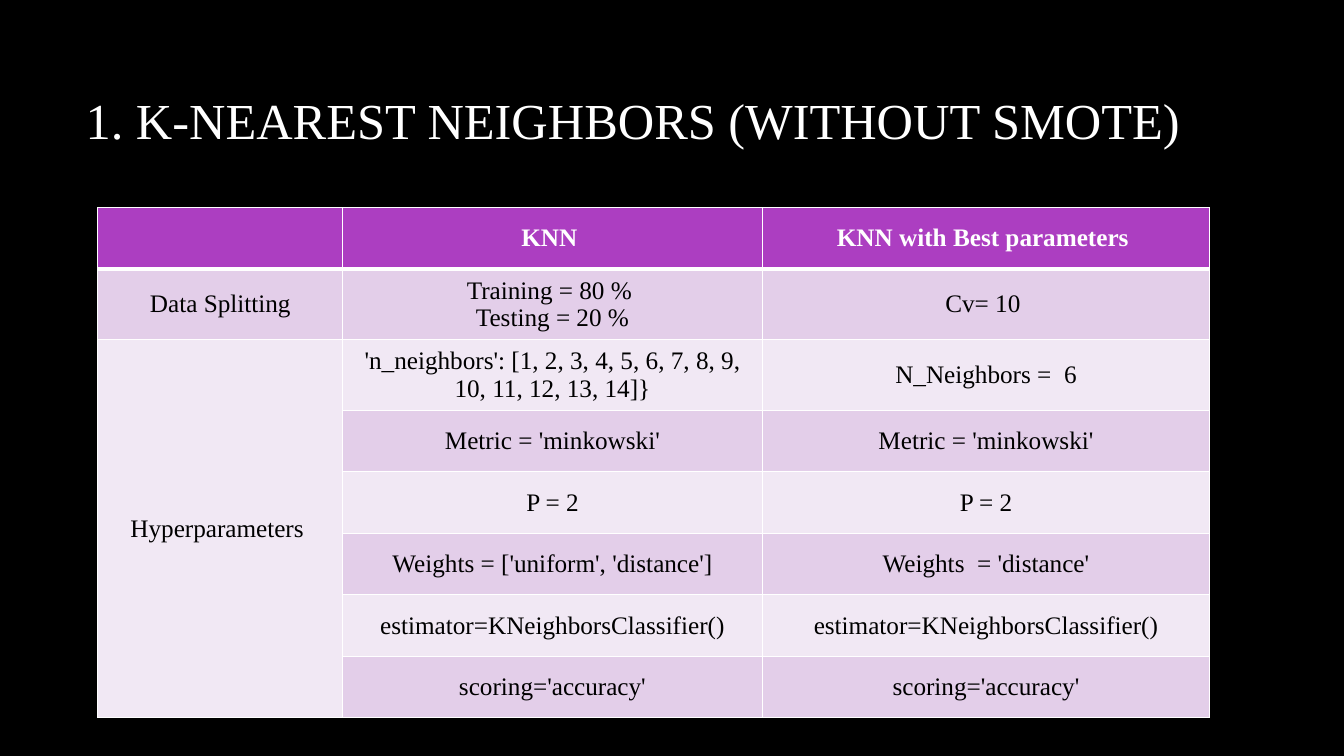
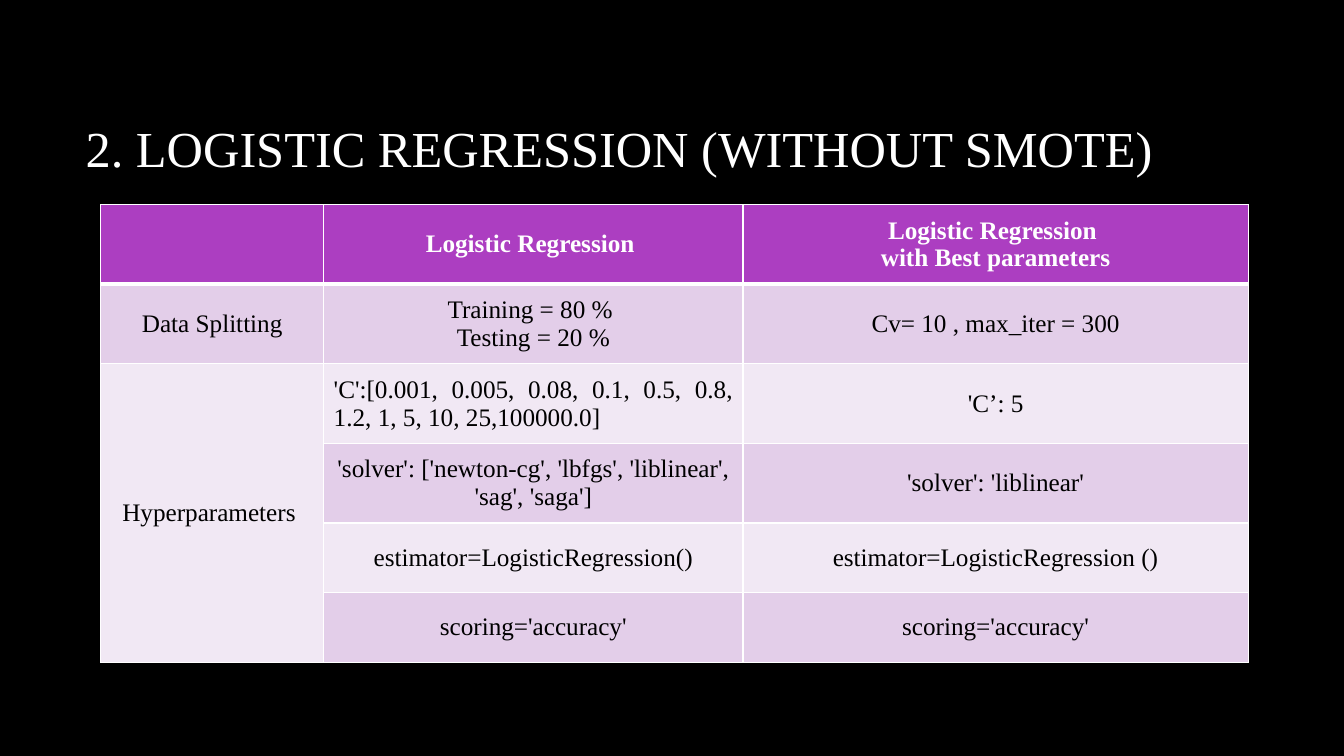
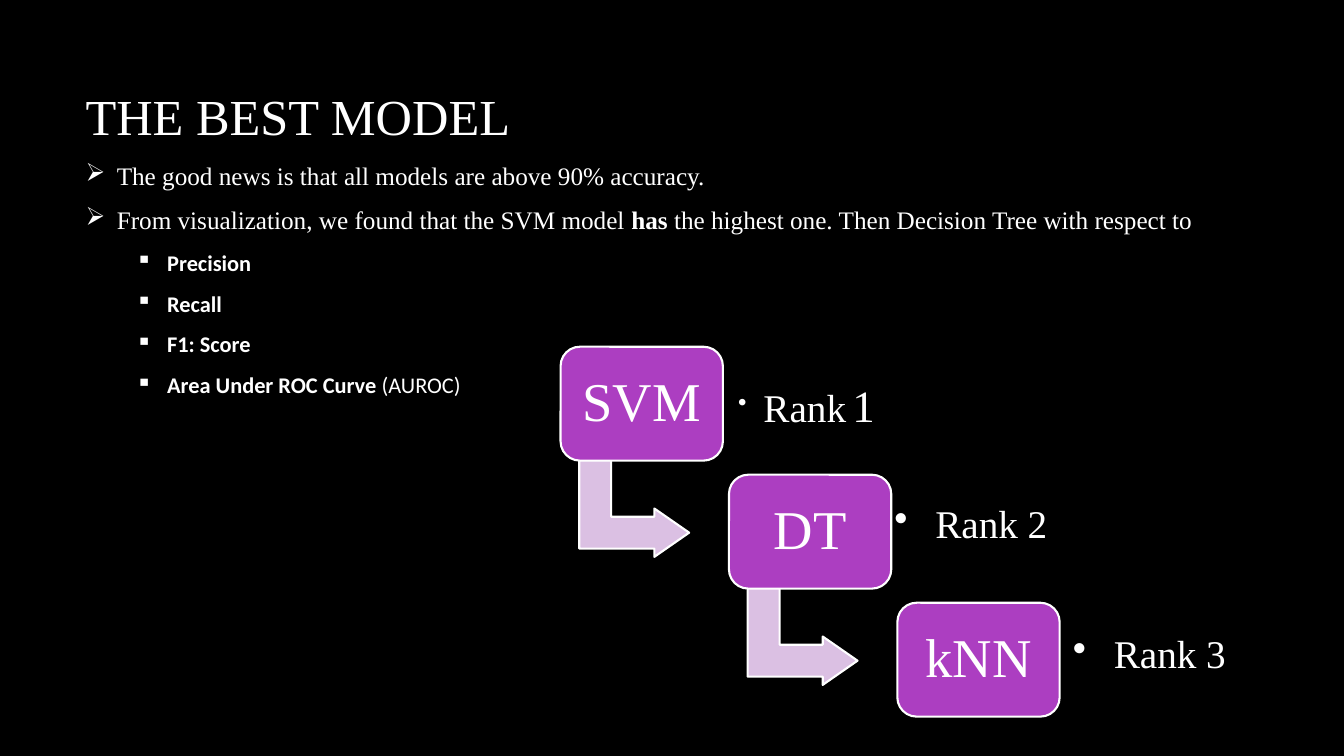
from lxml import etree
from pptx import Presentation
from pptx.dml.color import RGBColor
from pptx.enum.shapes import MSO_SHAPE
from pptx.enum.text import MSO_ANCHOR, PP_ALIGN
from pptx.oxml.ns import qn
from pptx.util import Pt

PX = 9144  # one px is a hundredth of an inch
CENTER, JUSTIFY, LEFT = PP_ALIGN.CENTER, PP_ALIGN.JUSTIFY, PP_ALIGN.LEFT
TOP, MIDDLE = MSO_ANCHOR.TOP, MSO_ANCHOR.MIDDLE
ROUNDED, BENT_ARROW = MSO_SHAPE.ROUNDED_RECTANGLE, MSO_SHAPE.BENT_UP_ARROW

# Shared colours and fonts
BLACK, WHITE = "000000", "FFFFFF"
PURPLE, LILAC = "AC3EC1", "DBC0E3"
ROW_FILLS = ("F1E8F4", "E3CEE9")
SERIF, SANS = "Times New Roman", "Calibri"

# Shared text formats
TITLE = {"size": Pt(36), "name": SERIF}
BODY = {"size": Pt(18), "name": SERIF}
BODY_BOLD = {**BODY, "bold": True}
METRIC = {"size": Pt(16), "name": SANS}
METRIC_BOLD = {**METRIC, "bold": True}
MODEL = {"size": Pt(39), "name": SERIF}
RANK = {"size": Pt(28), "name": SERIF}
RANK_DIGIT = {"size": Pt(32), "name": SERIF}


def px(*lengths):
    return [length * PX for length in lengths]


def rgb(color):
    return RGBColor.from_string(color)


def apply_format(target, values):
    for key, value in values.items():
        setattr(target, key, value)


def add_fill(shape, color):
    shape.fill.solid()
    shape.fill.fore_color.rgb = rgb(color)


def add_runs(paragraph, runs, color=WHITE):
    for text, font_format in runs:
        run = paragraph.add_run()
        run.text = text
        apply_format(run.font, font_format)
        run.font.color.rgb = rgb(color)


def add_bullet(paragraph, char, left, hanging):
    props = paragraph._p.get_or_add_pPr()
    props.set("marL", str(left * PX))
    props.set("indent", str(-hanging * PX))
    bullet_color = etree.SubElement(props, qn("a:buClr"))
    etree.SubElement(bullet_color, qn("a:srgbClr"), val=WHITE)
    etree.SubElement(props, qn("a:buChar"), char=char)


def add_textbox(slide, box, anchor=MIDDLE, **margins):
    frame = slide.shapes.add_textbox(*px(*box)).text_frame
    apply_format(frame, {"word_wrap": True, "vertical_anchor": anchor})
    apply_format(frame, {f"margin_{side}": size * PX for side, size in margins.items()})
    return frame


def add_slide(prs, title, height=159, bottom=5):
    slide = prs.slides.add_slide(prs.slide_layouts[6])
    add_fill(slide.background, BLACK)
    frame = add_textbox(slide, (75, 67, 1108, height), bottom=bottom)
    add_runs(frame.paragraphs[0], [(title, TITLE)])
    return slide


# Tables
def add_borders(cell, **widths):
    props = cell._tc.get_or_add_tcPr()
    for side in "LRTB":
        line = etree.SubElement(props, qn(f"a:ln{side}"), w=str(Pt(widths.get(side, 1))))
        fill = etree.SubElement(line, qn("a:solidFill"))
        etree.SubElement(fill, qn("a:srgbClr"), val=WHITE)


def fill_cell(cell, text, row, align):
    header = row == 0
    add_borders(cell, **({"B": 3} if header else {"T": 3} if row == 1 else {}))
    add_fill(cell, PURPLE if header else ROW_FILLS[row % 2])
    cell.vertical_anchor = MIDDLE
    for index, line in enumerate(text.split("\n") if text else []):
        frame = cell.text_frame
        paragraph = frame.add_paragraph() if index else frame.paragraphs[0]
        paragraph.alignment = align
        add_runs(paragraph, [(line, {**BODY, "bold": header})],
                 WHITE if header else BLACK)


def add_parameter_table(slide, origin, widths, heights, rows, justified=()):
    """The row label of the third row spans all rows below it."""
    box = (*origin, sum(widths), sum(heights))
    table = slide.shapes.add_table(len(rows), len(widths), *px(*box)).table
    for column, width in zip(table.columns, px(*widths)):
        column.width = width
    for table_row, height in zip(table.rows, px(*heights)):
        table_row.height = height
    for r, row in enumerate(rows):
        for c, text in enumerate(row):
            fill_cell(table.cell(r, c), text, r,
                      JUSTIFY if (r, c) in justified else CENTER)
    table.cell(2, 0).merge(table.cell(len(rows) - 1, 0))


# Ranking
def add_outlined(slide, kind, box, fill, adjustments):
    shape = slide.shapes.add_shape(kind, *px(*box))
    shape.shadow.inherit = False
    add_fill(shape, fill)
    shape.line.color.rgb = rgb(WHITE)
    shape.line.width = Pt(1.5)
    for index, value in enumerate(adjustments):
        shape.adjustments[index] = value
    return shape


def add_model(slide, box, name):
    shape = add_outlined(slide, ROUNDED, box, PURPLE, [0.17])
    frame = shape.text_frame
    apply_format(frame, {"vertical_anchor": MIDDLE, "word_wrap": True})
    paragraph = frame.paragraphs[0]
    apply_format(paragraph, {"alignment": CENTER, "line_spacing": 0.9})
    add_runs(paragraph, [(name, MODEL)])


def add_rank(slide, box, inset, hanging, runs):
    frame = add_textbox(slide, box, left=inset, right=inset, top=inset, bottom=inset)
    paragraph = frame.paragraphs[0]
    apply_format(paragraph, {"level": 1, "line_spacing": 0.9})
    add_bullet(paragraph, "•", hanging, hanging)
    add_runs(paragraph, runs)


def add_ranking(slide, ranking):
    for step, (model, box, inset, hanging, runs) in enumerate(ranking):
        dx, dy = 167 * step, 127 * step
        if step < len(ranking) - 1:
            arrow = add_outlined(slide, BENT_ARROW, (581 + dx, 450 + dy, 96, 109),
                                 LILAC, [0.33, 0.25, 0.36])
            arrow.rotation = 90
        add_model(slide, (556 + dx, 344 + dy, 161, 113), model)
        add_rank(slide, box, inset, hanging, runs)


def add_findings(slide, findings):
    frame = add_textbox(slide, (75, 159, 1228, 270), TOP, top=0)
    for index, (level, align, runs) in enumerate(findings):
        paragraph = frame.add_paragraph() if index else frame.paragraphs[0]
        apply_format(paragraph, {"level": level, "alignment": align,
                                 "space_after": Pt(10)})
        add_bullet(paragraph, "➢▪"[level], 31 + 50 * level, 31)
        add_runs(paragraph, runs)


# Content
SPLIT = "Training = 80 % \nTesting = 20 %"
KNN_ROWS = [
    ("", "KNN ", "KNN with Best parameters "),
    ("Data Splitting", SPLIT, "Cv= 10 "),
    ("Hyperparameters ",
     "'n_neighbors': [1, 2, 3, 4, 5, 6, 7, 8, 9, 10, 11, 12, 13, 14]}",
     "N_Neighbors =  6"),
    ("", "Metric = 'minkowski'", "Metric = 'minkowski'"),
    ("", "P = 2", "P = 2"),
    ("", "Weights = ['uniform', 'distance']", "Weights  = 'distance'"),
    ("", "estimator=KNeighborsClassifier()", "estimator=KNeighborsClassifier()"),
    ("", "scoring='accuracy'", "scoring='accuracy'"),
]
LOGISTIC_ROWS = [
    ("", "Logistic Regression ", "Logistic Regression \n with Best parameters "),
    ("Data Splitting", SPLIT, "Cv= 10 , max_iter = 300"),
    ("Hyperparameters ",
     "'C':[0.001, 0.005, 0.08, 0.1, 0.5, 0.8, 1.2, 1, 5, 10, 25,100000.0]",
     "'C’: 5"),
    ("", "'solver': ['newton-cg', 'lbfgs', 'liblinear', 'sag', 'saga']",
     "'solver': 'liblinear'"),
    ("", "estimator=LogisticRegression()", "estimator=LogisticRegression ()"),
    ("", "scoring='accuracy'", "scoring='accuracy'"),
]
FINDINGS = [
    (0, LEFT, [("The good news is that all models are above 90% accuracy.", BODY)]),
    (0, JUSTIFY, [("From visualization, we found that the SVM model ", BODY),
                  ("has", BODY_BOLD),
                  (" the highest one. Then Decision Tree with respect to", BODY)]),
    *((1, JUSTIFY, [(metric, METRIC_BOLD)])
      for metric in ("Precision", "Recall", "F1: Score")),
    (1, JUSTIFY, [("Area Under ROC Curve", METRIC_BOLD), (" (AUROC)", METRIC)]),
]
RANKING = [
    ("SVM", (725, 352, 256, 106), 7, 19,
     [(" ", BODY), ("Rank", RANK), (" ", BODY), ("1", RANK_DIGIT), (" ", BODY)]),
    ("DT", (875, 476, 276, 91), 12, 31, [(" Rank 2", RANK)]),
    ("kNN", (1049, 605, 204, 91), 15, 31, [(" Rank 3", RANK)]),
]


def main():
    prs = Presentation()
    prs.slide_width, prs.slide_height = px(1333, 750)

    knn = add_slide(prs, "1. K-NEAREST NEIGHBORS (WITHOUT SMOTE)", bottom=62)
    add_parameter_table(knn, (97, 206), (243, 416, 444),
                        [61, 69, 69] + [61] * 5, KNN_ROWS)

    logistic = add_slide(prs, "2. LOGISTIC REGRESSION (WITHOUT SMOTE)")
    add_parameter_table(logistic, (100, 203), (221, 416, 501),
                        [79] * 4 + [69] * 2, LOGISTIC_ROWS, justified={(2, 1)})

    best_model = add_slide(prs, "THE BEST MODEL", height=95)
    add_findings(best_model, FINDINGS)
    add_ranking(best_model, RANKING)

    prs.save("out.pptx")


if __name__ == "__main__":
    main()
